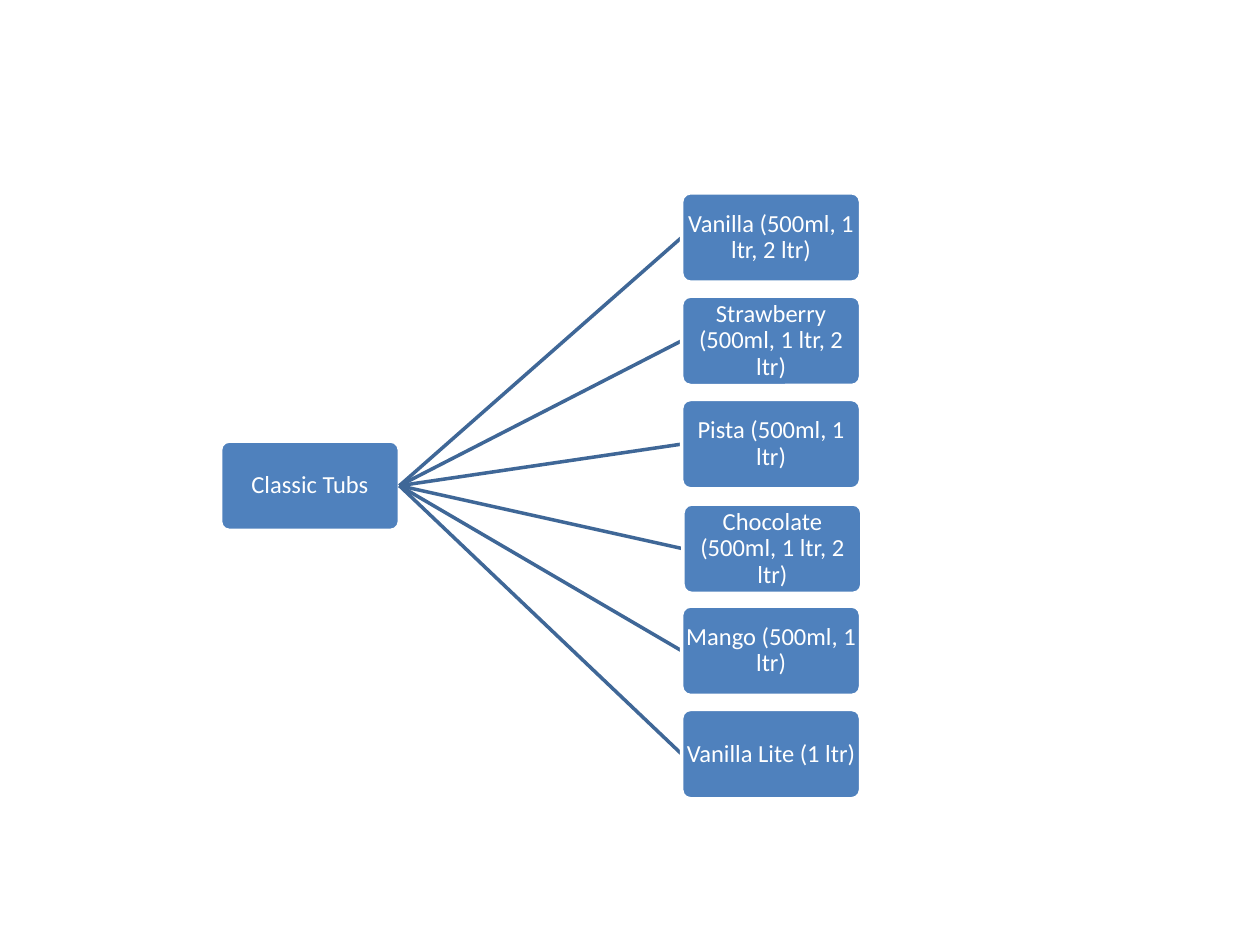
from lxml import etree
from pptx import Presentation
from pptx.dml.color import RGBColor
from pptx.enum import shapes, text
from pptx.oxml.ns import qn
from pptx.util import Inches, Pt

ROOT = "Classic Tubs"
FLAVOURS = [
    "Vanilla (500ml, 1 ltr, 2 ltr)",
    "Strawberry (500ml, 1 ltr, 2 ltr)",
    "Pista (500ml, 1 ltr)",
    "Chocolate (500ml, 1 ltr, 2 ltr)",
    "Mango (500ml, 1 ltr)",
    "Vanilla Lite (1 ltr)",
]
NUDGES = {3: (0.01, 0.01)}  # the Chocolate box sits slightly off the column

BOX_WIDTH, BOX_HEIGHT = 1.42, 0.71
ROOT_LEFT, ROOT_TOP = 1.75, 3.5
COLUMN_LEFT, COLUMN_TOP, PITCH = 5.41, 1.53, 0.82
BOX_BLUE, LINE_BLUE, WHITE = "4F81BD", "3F6797", "FFFFFF"
RIGHT_SIDE, LEFT_SIDE = 3, 1


def paint(color_format, color):
    color_format.rgb = RGBColor.from_string(color)


def add_box(slide, label, left, top):
    box = slide.shapes.add_shape(
        shapes.MSO_SHAPE.ROUNDED_RECTANGLE,
        Inches(left), Inches(top), Inches(BOX_WIDTH), Inches(BOX_HEIGHT))
    box.adjustments[0] = 0.1
    box.shadow.inherit = False
    box.fill.solid()
    paint(box.fill.fore_color, BOX_BLUE)
    paint(box.line.color, WHITE)
    box.line.width = Pt(2)

    frame = box.text_frame
    frame.word_wrap = True
    frame.vertical_anchor = text.MSO_ANCHOR.MIDDLE
    # The rounded corners already inset the text
    frame.margin_left = frame.margin_right = 0
    frame.margin_top = frame.margin_bottom = 0
    paragraph = frame.paragraphs[0]
    paragraph.alignment = text.PP_ALIGN.CENTER
    paragraph.line_spacing = 0.9
    run = paragraph.add_run()
    run.text = label
    run.font.name = "Calibri"
    run.font.size = Pt(14)
    paint(run.font.color, WHITE)
    return box


def add_branch(slide, parent, child):
    """Join the parent's right side to the child's left side, behind the child."""
    branch = slide.shapes.add_connector(shapes.MSO_CONNECTOR.STRAIGHT, 0, 0, 0, 0)
    branch.begin_connect(parent, RIGHT_SIDE)
    branch.end_connect(child, LEFT_SIDE)
    paint(branch.line.color, LINE_BLUE)
    branch.line.width = Pt(2)
    etree.SubElement(branch.element.spPr, qn("a:effectLst"))
    child.element.addprevious(branch.element)


def main():
    presentation = Presentation()
    presentation.slide_width, presentation.slide_height = Inches(10), Inches(7.5)
    slide = presentation.slides.add_slide(presentation.slide_layouts[6])

    root = add_box(slide, ROOT, ROOT_LEFT, ROOT_TOP)
    for index, flavour in enumerate(FLAVOURS):
        shift_x, shift_y = NUDGES.get(index, (0, 0))
        box = add_box(slide, flavour, COLUMN_LEFT + shift_x,
                      COLUMN_TOP + index * PITCH + shift_y)
        add_branch(slide, root, box)

    presentation.save("out.pptx")


if __name__ == "__main__":
    main()
